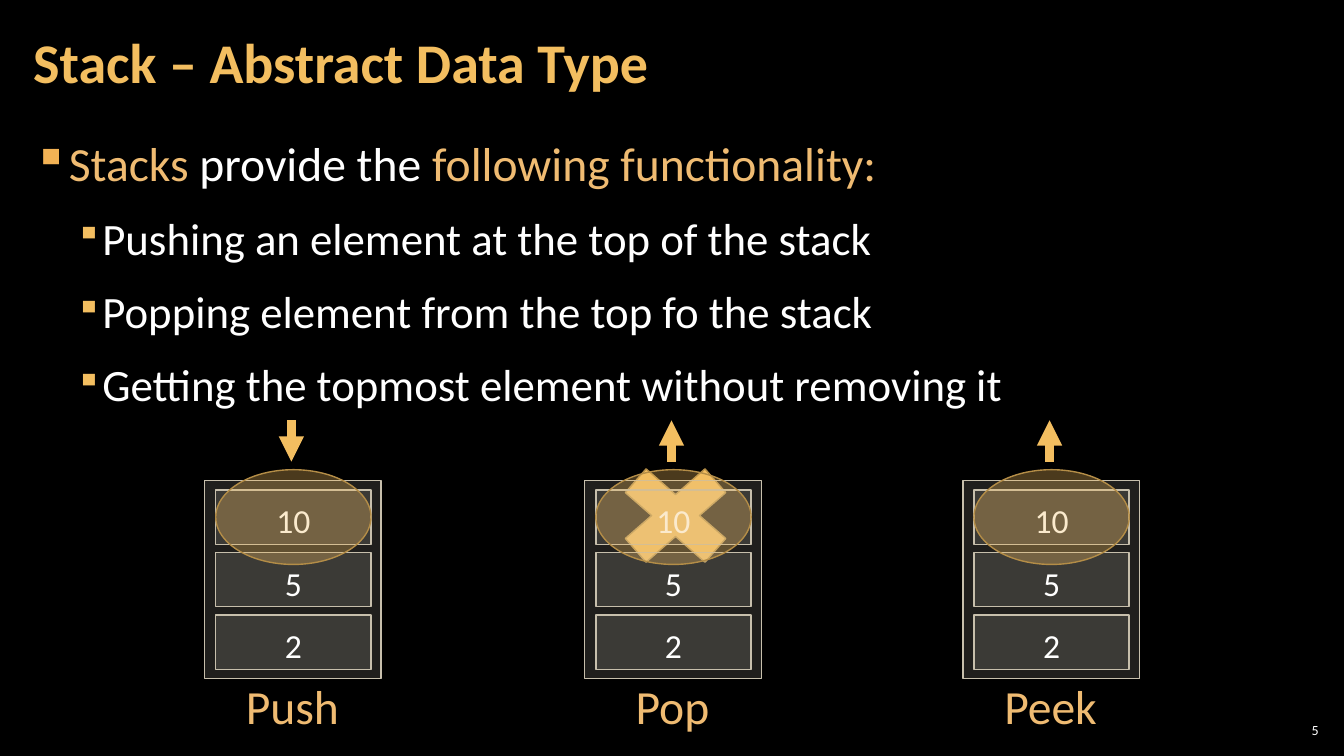
from lxml import etree
from pptx import Presentation, util as u
from pptx.dml.color import RGBColor
from pptx.enum import shapes, text
from pptx.oxml.ns import qn

GOLD, SAND, WHITE = "F3BE60", "EFBB72", "FFFFFF"
STONE, STONE_EDGE, GOLD_EDGE = "D9D5C7", "C7BFAC", "B48D47"
CENTER = text.PP_ALIGN.CENTER


def paint(fill, color, opacity=100):
    """Fill a shape, line, font or background; opacity is in percent."""
    fill.solid()
    fill.fore_color.rgb = RGBColor.from_string(color)
    if opacity < 100:
        tint = fill._xPr.find(qn("a:solidFill"))[0]
        etree.SubElement(tint, qn("a:alpha"), val=str(opacity * 1000))


def write(para, spans, size, align=None, spacing=None, gap=None, bold=None):
    """Add (words, colour) spans to a paragraph; gap is the space around it."""
    para.alignment, para.line_spacing = align, spacing
    if gap is not None:
        para.space_before = para.space_after = u.Pt(gap)
    for words, color in spans:
        span = para.add_run()
        span.text = words
        span.font.name, span.font.size, span.font.bold = "Calibri", u.Pt(size), bold
        paint(span.font.fill, color)


deck = Presentation()
deck.slide_width, deck.slide_height = u.Inches(13.33), u.Inches(7.5)
page = deck.slides.add_slide(deck.slide_layouts[6])
paint(page.background.fill, "000000")

# Text frames: left, top, width, height, horizontal inset, anchor
STACK_LEFTS = {"Push": 2.03, "Pop": 5.8, "Peek": 9.55}
MIDDLE, TOP = text.MSO_ANCHOR.MIDDLE, text.MSO_ANCHOR.TOP
areas = {
    "number": (12.65, 7.14, 0.47, 0.21, 0.04, MIDDLE),
    "body": (0.21, 1.26, 12.91, 6.09, 0.12, TOP),
    "title": (0.21, 0.04, 10.47, 1.21, 0.12, MIDDLE),
}
for label, left in STACK_LEFTS.items():
    areas[label] = (left + 0.16, 6.65, 1.42, 0.7, 0.12, TOP)
frames = {}
for name, (*place, inset, anchor) in areas.items():
    frame = page.shapes.add_textbox(*map(u.Inches, place)).text_frame
    frame.word_wrap, frame.vertical_anchor = True, anchor
    frame.margin_left = frame.margin_right = u.Inches(inset)
    frame.margin_top = frame.margin_bottom = u.Inches(0.04)
    frames[name] = frame

write(frames["number"].paragraphs[0], [("5", WHITE)], 10, text.PP_ALIGN.RIGHT)
write(frames["title"].paragraphs[0], [("Stack – Abstract Data Type", GOLD)], 40,
      spacing=0.9, bold=True)
for label in STACK_LEFTS:
    write(frames[label].paragraphs[0], [(label, SAND)], 34, CENTER, 1.05, 6)

# Bulleted list
bullets = [
    (0, [("Stacks ", SAND), ("provide the", WHITE), (" following functionality:", SAND)]),
    (1, [("Pushing an element at the top of the stack", WHITE)]),
    (1, [("Popping element from the top fo the stack", WHITE)]),
    (1, [("Getting the topmost element without removing it", WHITE)]),
]
LEVELS = [(34, 0.33, 0.33, "F2B254", 100), (32, 0.67, 0.25, GOLD, 80)]
body = frames["body"]
for index, (level, spans) in enumerate(bullets):
    size, indent, hang, color, scale = LEVELS[level]
    para = body.add_paragraph() if index else body.paragraphs[0]
    para.level = level
    write(para, spans, size, spacing=1.05, gap=6)
    props = para._p.get_or_add_pPr()
    props.set("marL", str(u.Inches(indent)))
    props.set("indent", str(-u.Inches(hang)))
    tint = etree.SubElement(props, qn("a:buClr"))
    etree.SubElement(tint, qn("a:srgbClr"), val=color)
    etree.SubElement(props, qn("a:buSzPct"), val=str(scale * 1000))
    etree.SubElement(props, qn("a:buChar"), char="▪")

# Stack diagrams
KIND = shapes.MSO_SHAPE
CELL_LEFT, CELL_TOP, CELL_WIDTH, CELL_HEIGHT, CELL_STEP = 0.11, 4.86, 1.54, 0.54, 0.62
for label, left in STACK_LEFTS.items():
    group = page.shapes.add_group_shape().shapes
    cell_left = left + CELL_LEFT
    parts = [(KIND.RECTANGLE, left, 4.77, 1.75, 1.96, STONE, 15, STONE_EDGE, "")]
    for row, value in enumerate(["10", "5", "2"]):
        parts.append((KIND.RECTANGLE, cell_left, CELL_TOP + row * CELL_STEP,
                      CELL_WIDTH, CELL_HEIGHT, STONE, 15, STONE_EDGE, value))
    parts.append((KIND.OVAL, cell_left, 4.66, CELL_WIDTH, 0.94, GOLD, 31, GOLD_EDGE, ""))
    if label == "Pop":
        parts.insert(0, (KIND.MATH_MULTIPLY, left + 0.14, 4.45, 1.52, 1.33,
                         GOLD, 100, GOLD_EDGE, ""))
    for kind, x, y, width, height, color, opacity, edge, value in parts:
        shape = group.add_shape(kind, *map(u.Inches, (x, y, width, height)))
        shape.shadow.inherit = False
        paint(shape.fill, color, opacity)
        paint(shape.line.fill, edge)
        shape.line.width = u.Pt(1)
        if value:
            frame = shape.text_frame
            frame.vertical_anchor = TOP
            frame.margin_left = frame.margin_right = u.Inches(0.2)
            frame.margin_top = frame.margin_bottom = u.Inches(0.1)
            write(frame.paragraphs[0], [(value, WHITE)], 24, CENTER)

    start, end = (4.17, 4.58) if label == "Push" else (4.58, 4.17)
    middle = left + 0.86
    arrow = group.add_connector(shapes.MSO_CONNECTOR.STRAIGHT,
                                *map(u.Inches, (middle, start, middle, end)))
    paint(arrow.line.fill, GOLD)
    arrow.line.width = u.Pt(6)
    etree.SubElement(arrow.line._get_or_add_ln(), qn("a:tailEnd"), type="triangle")
    etree.SubElement(arrow._element.spPr, qn("a:effectLst"))

deck.save("out.pptx")
